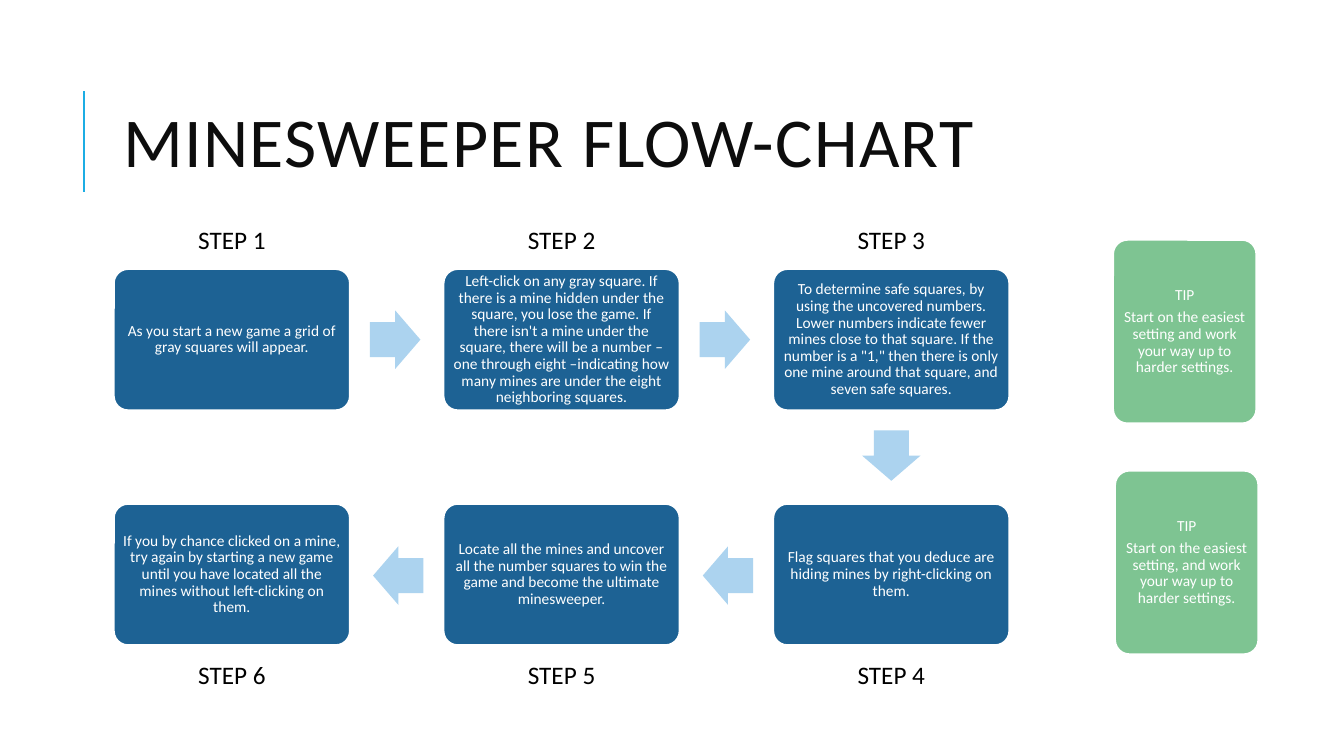
"""Builds the Minesweeper flow-chart slide."""
from dataclasses import dataclass

from lxml.etree import SubElement
from pptx import Presentation
from pptx.dml.color import RGBColor
from pptx.enum.shapes import MSO_CONNECTOR, MSO_SHAPE
from pptx.enum.text import MSO_ANCHOR, MSO_AUTO_SIZE, PP_ALIGN
from pptx.oxml.ns import qn
from pptx.util import Inches, Pt


@dataclass(frozen=True)
class Theme:
    """Colours and type sizes of the slide."""
    font: str = "Calibri"
    accent: str = "1CADE4"
    step: str = "1D6294"
    arrow: str = "ACD3EF"
    tip: str = "7EC492"
    title: str = "0D0D0D"
    label: str = "000000"
    paper: str = "FFFFFF"
    title_size: int = 50
    label_size: int = 18
    body_size: int = 11


def set_formats(target, formats):
    """Set each format value on the target."""
    for name, value in formats.items():
        setattr(target, name, value)


class FlowChart:
    """Draws flow-chart elements on one slide in one theme."""

    def __init__(self, slide, theme):
        """Keep the slide and the theme."""
        self.slide = slide
        self.theme = theme

    def fill_text(self, frame, lines, size, color, frame_format, paragraph_format):
        """Fill a text frame with formatted paragraphs."""
        set_formats(frame, {"word_wrap": True, **frame_format})
        frame.text = "\n".join(lines)
        for paragraph in frame.paragraphs:
            set_formats(paragraph, paragraph_format)
            for run in paragraph.runs:
                set_formats(run.font, {"name": self.theme.font, "size": Pt(size)})
                run.font.color.rgb = RGBColor.from_string(color)

    def title(self, text, left, top, width, height):
        """Place and format the title."""
        heading = self.slide.shapes.title
        set_formats(heading, {"left": Inches(left), "top": Inches(top),
                              "width": Inches(width), "height": Inches(height)})
        self.fill_text(heading.text_frame, [text], self.theme.title_size, self.theme.title,
                       {"vertical_anchor": MSO_ANCHOR.MIDDLE, "auto_size": MSO_AUTO_SIZE.NONE},
                       {"alignment": PP_ALIGN.LEFT, "line_spacing": 0.8})
        for run in heading.text_frame.paragraphs[0].runs:
            run.font._element.set("spc", "100")

    def rule(self, x, top, bottom):
        """Draw a vertical accent line."""
        bar = self.slide.shapes.add_connector(
            MSO_CONNECTOR.STRAIGHT, Inches(x), Inches(bottom), Inches(x), Inches(top))
        bar.line.color.rgb = RGBColor.from_string(self.theme.accent)
        bar.line.width = Pt(1.5)
        SubElement(bar._element.spPr, qn("a:effectLst"))

    def shape(self, preset, left, top, width, height, color):
        """Add a filled preset shape without shadow."""
        figure = self.slide.shapes.add_shape(
            preset, Inches(left), Inches(top), Inches(width), Inches(height))
        figure.shadow.inherit = False
        figure.fill.solid()
        figure.fill.fore_color.rgb = RGBColor.from_string(color)
        return figure

    def card(self, lines, left, top, width, height, color, inset=0.05):
        """Draw a rounded card with centred text."""
        panel = self.shape(MSO_SHAPE.ROUNDED_RECTANGLE, left, top, width, height, color)
        panel.adjustments[0] = 0.1
        panel.line.color.rgb = RGBColor.from_string(self.theme.paper)
        panel.line.width = Pt(1.25)
        margins = {f"margin_{side}": Inches(inset) for side in ("left", "top", "right", "bottom")}
        self.fill_text(panel.text_frame, lines, self.theme.body_size, self.theme.paper,
                       {"vertical_anchor": MSO_ANCHOR.MIDDLE, **margins},
                       {"alignment": PP_ALIGN.CENTER, "line_spacing": 0.9, "space_after": Pt(4)})

    def arrow(self, left, top, rotation):
        """Draw a block arrow turned by the rotation."""
        pointer = self.shape(MSO_SHAPE.RIGHT_ARROW, left, top, 0.5, 0.58, self.theme.arrow)
        pointer.adjustments[0] = 0.6
        pointer.adjustments[1] = 0.5
        pointer.line.fill.background()
        pointer.rotation = rotation

    def label(self, text, left, top, width):
        """Add a centred step label."""
        caption = self.slide.shapes.add_textbox(
            Inches(left), Inches(top), Inches(width), Inches(0.4))
        self.fill_text(caption.text_frame, [text], self.theme.label_size, self.theme.label,
                       {"auto_size": MSO_AUTO_SIZE.SHAPE_TO_FIT_TEXT},
                       {"alignment": PP_ALIGN.CENTER})


STEPS = [
    "As you start a new game a grid of gray squares will appear.",
    "Left-click on any gray square. If there is a mine hidden under the square, you lose "
    "the game. If there isn't a mine under the square, there will be a number – one through "
    "eight –indicating how many mines are under the eight neighboring squares.",
    "To determine safe squares, by using the uncovered numbers. Lower numbers indicate fewer "
    "mines close to that square. If the number is a \"1,\" then there is only one mine around "
    "that square, and seven safe squares.",
    "Flag squares that you deduce are hiding mines by right-clicking on them.",
    "Locate all the mines and uncover all the number squares to win the game and become the "
    "ultimate minesweeper.",
    "If you by chance clicked on a mine, try again by starting a new game until you have "
    "located all the mines without left-clicking on them.",
]
TIPS = [
    (11.04, 2.38, "Start on the easiest setting and work your way up to harder settings."),
    (11.06, 4.67, "Start on the easiest setting, and work your way up to harder settings."),
]
COLUMNS = 3
FIRST_LEFT, COLUMN_PITCH = 1.13, 3.27
CARD_WIDTH, CARD_HEIGHT = 2.34, 1.4
ROW_TOPS, LABEL_TOPS = (2.67, 5), (2.18, 6.49)


def main():
    """Build and save the slide."""
    deck = Presentation()
    set_formats(deck, {"slide_width": Inches(13.33), "slide_height": Inches(7.5)})
    theme = Theme()
    chart = FlowChart(deck.slides.add_slide(deck.slide_layouts[5]), theme)
    chart.rule(0.83, 0.9, 1.9)
    chart.title("MINESWEEPER FLOW-CHART", 1.12, 0.64, 10.63, 1.64)

    for index, instruction in enumerate(STEPS):
        row, position = divmod(index, COLUMNS)
        column = COLUMNS - 1 - position if row else position
        left, top = FIRST_LEFT + column * COLUMN_PITCH, ROW_TOPS[row]
        chart.card([instruction], left, top, CARD_WIDTH, CARD_HEIGHT, theme.step)
        chart.label(f"STEP {index + 1}", left, LABEL_TOPS[row], CARD_WIDTH)
        if index == COLUMNS - 1:
            chart.arrow(left + 0.92, top + 1.56, 90)
        elif row == 0:
            chart.arrow(left + 2.54, top + 0.41, 0)
        elif column > 0:
            chart.arrow(left - 0.7, top + 0.42, 180)

    for left, top, advice in TIPS:
        chart.card(["TIP", advice], left, top, 1.42, 1.82, theme.tip, inset=0.03)

    deck.save("out.pptx")


if __name__ == "__main__":
    main()
